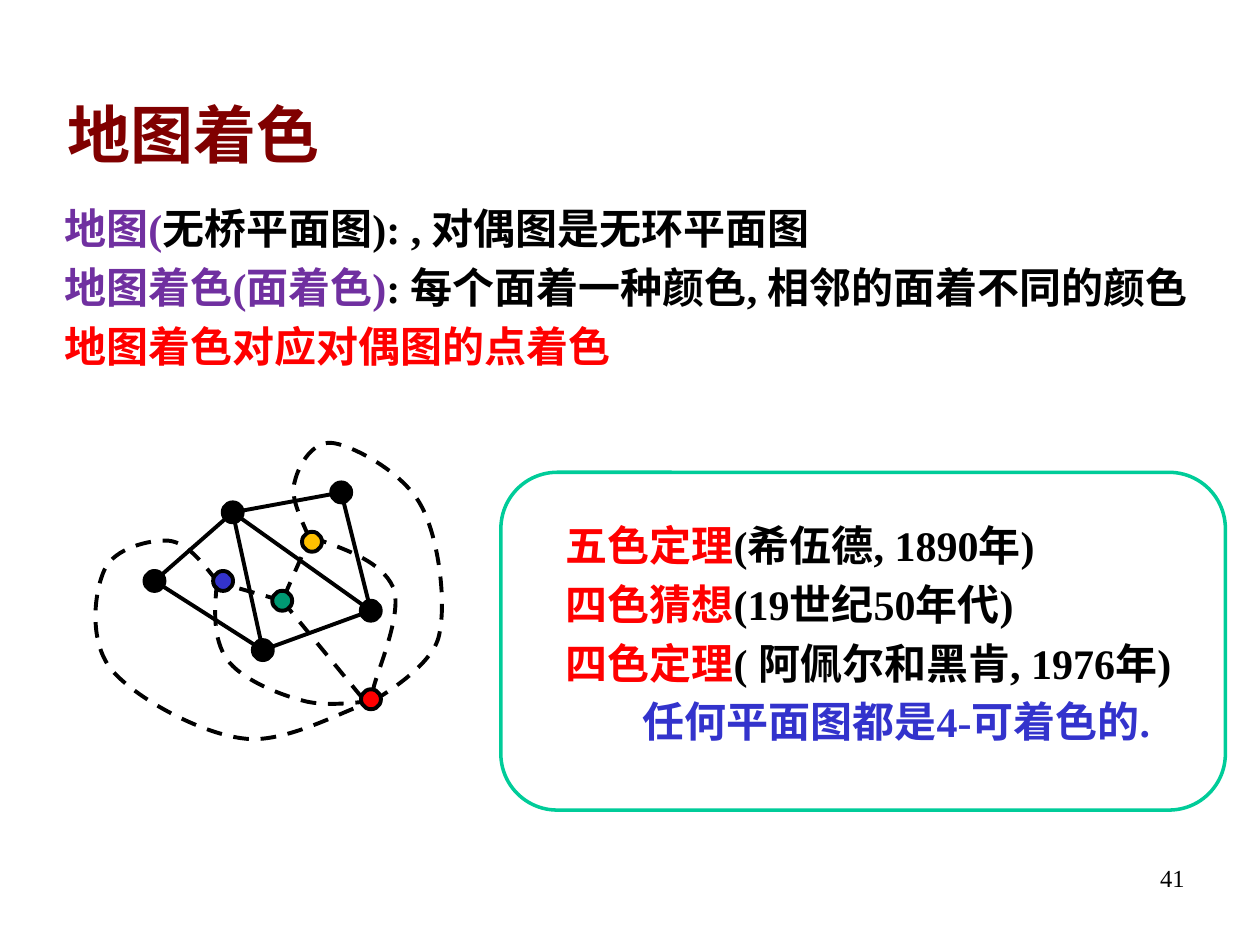
from pptx import Presentation
from pptx.dml.color import RGBColor
from pptx.enum.dml import MSO_LINE
from pptx.enum.shapes import MSO_CONNECTOR as CONN, MSO_SHAPE as SHAPE
from pptx.enum.text import MSO_ANCHOR as ANCHOR, PP_ALIGN as ALIGN
from pptx.oxml.ns import qn
from pptx.util import Pt
from lxml.etree import SubElement

BLACK, RED, PURPLE, BLUE = "000000", "FF0000", "7030A0", "3333CC"
MAROON, TEAL, GREEN, YELLOW, WHITE = "800000", "00CC99", "009973", "FFC000", "FFFFFF"
FONT = "Times New Roman"
HANG = 27


def rgb(value):
    return RGBColor.from_string(value)


class Canvas:
    stroke = 2.25
    dot_size = 11.4

    def __init__(self, s):
        self.s = s

    def text(self, box, paras, size, bold=True, align=ALIGN.LEFT,
             anchor=ANCHOR.TOP, gap=0):
        """Each paragraph is (left margin, first-line indent, runs)."""
        tf = self.s.shapes.add_textbox(*map(Pt, box)).text_frame
        tf.word_wrap = True
        tf.vertical_anchor = anchor
        for i, (margin, indent, runs) in enumerate(paras):
            p = tf.add_paragraph() if i else tf.paragraphs[0]
            p.alignment = align
            p.space_before = Pt(gap if i else 0)
            pPr = p._p.get_or_add_pPr()
            pPr.set("marL", str(Pt(margin)))
            pPr.set("indent", str(Pt(indent)))
            for words, color in runs:
                r = p.add_run()
                r.text = words
                r.font.name, r.font.size, r.font.bold = FONT, Pt(size), bold
                r.font.color.rgb = rgb(color)

    def outline(self, sp, color, width, dashed=False):
        sp.line.color.rgb = rgb(color)
        sp.line.width = Pt(width)
        if dashed:
            sp.line.dash_style = MSO_LINE.DASH

    def edge(self, start, end, dashed=False):
        sp = self.s.shapes.add_connector(CONN.STRAIGHT, *map(Pt, start + end))
        self.outline(sp, BLACK, self.stroke, dashed)
        SubElement(sp._element.spPr, qn("a:effectLst"))

    def curve(self, start, *segments):
        """Each segment is two control points and an end point."""
        builder = self.s.shapes.build_freeform(*map(Pt, start))
        builder.add_line_segments(
            [(Pt(x), Pt(y)) for segment in segments for x, y in segment], close=False)
        sp = builder.convert_to_shape()
        # Turn every three straight steps into one cubic curve
        outline = next(sp._element.iter(qn("a:path")))
        steps = outline.findall(qn("a:lnTo"))
        for i in range(0, len(steps), 3):
            cubic = SubElement(outline, qn("a:cubicBezTo"))
            for step in steps[i:i + 3]:
                cubic.append(step[0])
                outline.remove(step)
        sp.shadow.inherit = False
        sp.fill.background()
        self.outline(sp, BLACK, self.stroke, dashed=True)

    def shape(self, kind, box, fill, line, width):
        sp = self.s.shapes.add_shape(kind, *map(Pt, box))
        sp.shadow.inherit = False
        sp.fill.solid()
        sp.fill.fore_color.rgb = rgb(fill)
        self.outline(sp, line, width)

    def dot(self, center, fill):
        d = self.dot_size
        x, y = center
        self.shape(SHAPE.OVAL, (x - d / 2, y - d / 2, d, d), fill, BLACK, self.stroke)


def main():
    prs = Presentation()
    prs.slide_width, prs.slide_height = Pt(720), Pt(540)
    c = Canvas(prs.slides.add_slide(prs.slide_layouts[6]))

    # Page number, title and definitions
    c.text((534, 489.6, 150, 36), [(0, 0, [("41", BLACK)])], 14,
           bold=False, align=ALIGN.RIGHT)
    c.text((31.7, 31, 612, 90), [(0, 0, [("地图着色", MAROON)])], 36,
           anchor=ANCHOR.MIDDLE)
    definitions = [
        [("地图(", PURPLE), ("无桥平面图): , 对偶图是无环平面图", BLACK)],
        [("地图着色(面着色)", PURPLE),
         (": 每个面着一种颜色, 相邻的面着不同的颜色", BLACK)],
        [("地图着色对应对偶图的点着色", RED)],
    ]
    c.text((29.8, 112.4, 676, 104.4), [(HANG, -HANG, d) for d in definitions],
           24, gap=4.8)

    # Map: vertices and solid edges
    top, left, bottom = (133, 292.8), (88.3, 332), (150.2, 371.5)
    peak, right = (195, 281.4), (211.9, 349)
    for start, end in [(top, left), (top, bottom), (left, bottom), (top, peak),
                       (peak, right), (bottom, right), (top, right)]:
        c.edge(start, end)
    for vertex in (top, peak, left, bottom, right):
        c.dot(vertex, BLACK)

    # Dual graph: dashed edges, then one coloured vertex per face
    yellow, green, blue, outer = (178.3, 309.6), (161.3, 343.3), (127.5, 332), (212, 399.6)
    c.edge((178.5, 304), green, dashed=True)
    c.edge((121.7, 332), green, dashed=True)
    c.edge(green, (208, 400), dashed=True)
    c.curve((178, 307),
            ((198, 314), (218, 321), (224.6, 335.5)),
            ((230.4, 349), (216.7, 381), (213.8, 391.7)),
            ((211.7, 402.5), (208, 400), (208, 400)))
    c.curve((124, 333),
            ((122.4, 349), (121.7, 365), (129.6, 376.6)),
            ((137.5, 388), (159, 396.7), (172.8, 400.3)),
            ((187.2, 404.6), (213, 400.3), (213, 400.3)))
    c.curve((176.4, 306.7),
            ((171.4, 295), (165.6, 283.7), (168.5, 275)),
            ((170.6, 265.7), (179.3, 250.6), (191.5, 253.4)),
            ((203, 255.6), (230.4, 270), (240.5, 288.7)),
            ((250.6, 306.7), (255.6, 344.9), (250.6, 364.3)),
            ((245.5, 383), (211, 401.8), (211, 401.8)))
    c.curve((124, 332),
            ((115, 321), (107.3, 310.3), (96.5, 309)),
            ((85.7, 308.2), (65.5, 313.2), (59.8, 325.4)),
            ((54, 337.7), (50.4, 365.8), (63.4, 382.3)),
            ((76.3, 398.2), (113.8, 419), (139, 422)),
            ((163.4, 425.5), (198.7, 404.6), (211, 401.8)),
            ((222.5, 398.2), (215.3, 400.3), (208, 402.5)))
    for vertex, color in [(yellow, YELLOW), (green, GREEN), (blue, BLUE), (outer, RED)]:
        c.dot(vertex, color)

    # Theorems in a rounded frame
    c.shape(SHAPE.ROUNDED_RECTANGLE, (286.2, 269.9, 414, 193), WHITE, TEAL, 2)
    theorems = [("五色定理", "(希伍德, 1890年)"),
                ("四色猜想", "(19世纪50年代)"),
                ("四色定理", "( 阿佩尔和黑肯, 1976年)")]
    paras = [(HANG, -HANG, [(name, RED), (note, BLACK)]) for name, note in theorems]
    paras.append((44, 0, [("任何平面图都是4-可着色的.", BLUE)]))
    c.text((316.2, 293.4, 380, 148), paras, 24, gap=4.8)

    prs.save("out.pptx")


if __name__ == "__main__":
    main()
